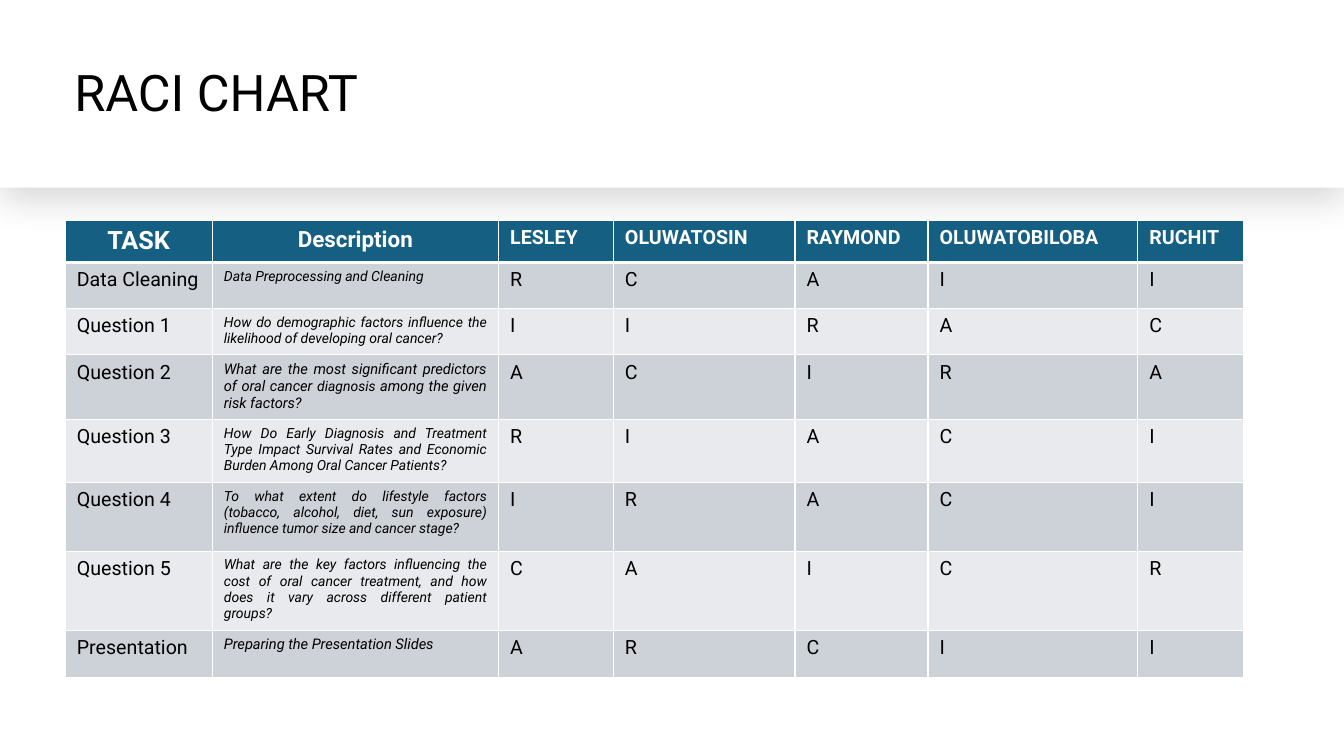
from lxml import etree
from pptx import Presentation
from pptx.dml.color import RGBColor
from pptx.enum.shapes import MSO_SHAPE
from pptx.enum.text import MSO_ANCHOR, PP_ALIGN
from pptx.oxml import parse_xml
from pptx.util import Pt

RECT = MSO_SHAPE.RECTANGLE
MIDDLE = MSO_ANCHOR.MIDDLE
LEFT, CENTER, JUSTIFY = PP_ALIGN.LEFT, PP_ALIGN.CENTER, PP_ALIGN.JUSTIFY

WHITE = RGBColor(0xFF, 0xFF, 0xFF)
BLACK = RGBColor(0, 0, 0)
TEAL = RGBColor(0x15, 0x60, 0x82)
DARK = RGBColor(0xCC, 0xD2, 0xD8)
LIGHT = RGBColor(0xE8, 0xEA, 0xED)
NS = "http://schemas.openxmlformats.org/drawingml/2006/main"

WIDE, HIGH = 960, 540
COLS = [105.1, 204.5, 82, 129.8, 95, 149.8, 75.4]
ROWS = [29.5, 33, 33, 45, 45, 49, 56, 34]
HEADS = ["TASK", "Description", "LESLEY", "OLUWATOSIN", "RAYMOND",
         "OLUWATOBILOBA", "RUCHIT"]
HEAD_SIZES = [18, 16] + [14] * 5

# Each task: name, runs of its description as (text, size), one role per person
TASKS = [
    ("Data Cleaning", [("Data Preprocessing and Cleaning", 10)], "RCAII"),
    ("Question 1", [("How do demographic factors influence the likelihood of "
                     "developing oral cancer?", 10)], "IIRAC"),
    ("Question 2", [("What are the most significant predictors of oral cancer ",
                     10.5), ("diagnosis", 10),
                    (" among the given risk factors?", 10.5)], "ACIRA"),
    ("Question 3", [("How Do Early Diagnosis and Treatment Type Impact Survival "
                     "Rates and Economic Burden Among Oral Cancer Patients?",
                     10)], "RIACI"),
    ("Question 4", [("To what extent do lifestyle factors (tobacco, alcohol, "
                     "diet, sun exposure) influence tumor size and cancer "
                     "stage?", 10)], "IRACI"),
    ("Question 5", [("What are the key factors influencing the cost of oral "
                     "cancer treatment, and how does it vary across different "
                     "patient groups?", 10)], "CAICR"),
    ("Presentation", [("Preparing the Presentation Slides", 10.5)], "ARCII"),
]


def write(para, text, size, color, bold=False, italic=False):
    run = para.add_run()
    run.text = text
    look = {"name": "Roboto", "size": Pt(size), "bold": bold, "italic": italic}
    for key, value in look.items():
        setattr(run.font, key, value)
    run.font.color.rgb = color


def add_band(slide, left, top, width, height):
    """Draw the white header band with its soft shadow."""
    band = slide.shapes.add_shape(RECT, Pt(left), Pt(top), Pt(width), Pt(height))
    band.shadow.inherit = False
    band.fill.solid()
    band.fill.fore_color.rgb = WHITE
    band.line.fill.background()
    glow = band.element.spPr.find(f"{{{NS}}}effectLst")
    glow.append(parse_xml(
        f'<a:outerShdw xmlns:a="{NS}" blurRad="{Pt(24)}" dist="{Pt(9)}" '
        'dir="5460000" algn="t" rotWithShape="0"><a:srgbClr val="000000">'
        '<a:alpha val="14000"/></a:srgbClr></a:outerShdw>'))


def add_title(slide, left, top, width, height):
    box = slide.shapes.add_textbox(Pt(left), Pt(top), Pt(width), Pt(height))
    frame = box.text_frame
    frame.word_wrap = True
    frame.vertical_anchor = MIDDLE
    para = frame.paragraphs[0]
    para.line_spacing = 0.9
    para.space_after = Pt(6)
    write(para, "RACI CHART", 36, BLACK)


def add_edges(cell, top, bottom):
    """Give the cell white borders, 1 pt at the sides."""
    props = cell._tc.get_or_add_tcPr()
    for side, width in {"L": 1, "R": 1, "T": top, "B": bottom}.items():
        edge = etree.SubElement(props, f"{{{NS}}}ln{side}", w=str(Pt(width)))
        fill = etree.SubElement(edge, f"{{{NS}}}solidFill")
        etree.SubElement(fill, f"{{{NS}}}srgbClr", val=str(WHITE))


def fill_cell(cell, runs, align, fill, color, bold, italic, top, bottom):
    add_edges(cell, top, bottom)
    cell.fill.solid()
    cell.fill.fore_color.rgb = fill
    pads = {"margin_left": 8.4, "margin_right": 8.4,
            "margin_top": 4.2, "margin_bottom": 4.2}
    for key, value in pads.items():
        setattr(cell, key, Pt(value))
    para = cell.text_frame.paragraphs[0]
    para.alignment = align
    for text, size in runs:
        write(para, text, size, color, bold, italic)


def add_chart(slide, left, top):
    """Draw the table of tasks and roles."""
    shape = slide.shapes.add_table(len(ROWS), len(COLS), Pt(left), Pt(top),
                                   Pt(sum(COLS)), Pt(sum(ROWS)))
    table = shape.table
    for col, width in zip(table.columns, COLS):
        col.width = Pt(width)
    for row, height in zip(table.rows, ROWS):
        row.height = Pt(height)
    for c, (text, size) in enumerate(zip(HEADS, HEAD_SIZES)):
        fill_cell(table.cell(0, c), [(text, size)], CENTER if c < 2 else LEFT,
                  TEAL, WHITE, True, False, 1, 3)
    for r, (name, about, roles) in enumerate(TASKS, 1):
        cells = [[(name, 14)], about] + [[(role, 14)] for role in roles]
        for c, runs in enumerate(cells):
            fill_cell(table.cell(r, c), runs, JUSTIFY if c == 1 else LEFT,
                      DARK if r % 2 else LIGHT, BLACK, False, c == 1,
                      3 if r == 1 else 1, 1)


def main():
    deck = Presentation()
    deck.slide_width, deck.slide_height = Pt(WIDE), Pt(HIGH)
    slide = deck.slides.add_slide(deck.slide_layouts[6])
    add_band(slide, 0, 0, WIDE, 134)
    add_title(slide, 46, 19.5, 552, 97)
    add_chart(slide, 46.5, 157.5)
    deck.save("out.pptx")


if __name__ == "__main__":
    main()
